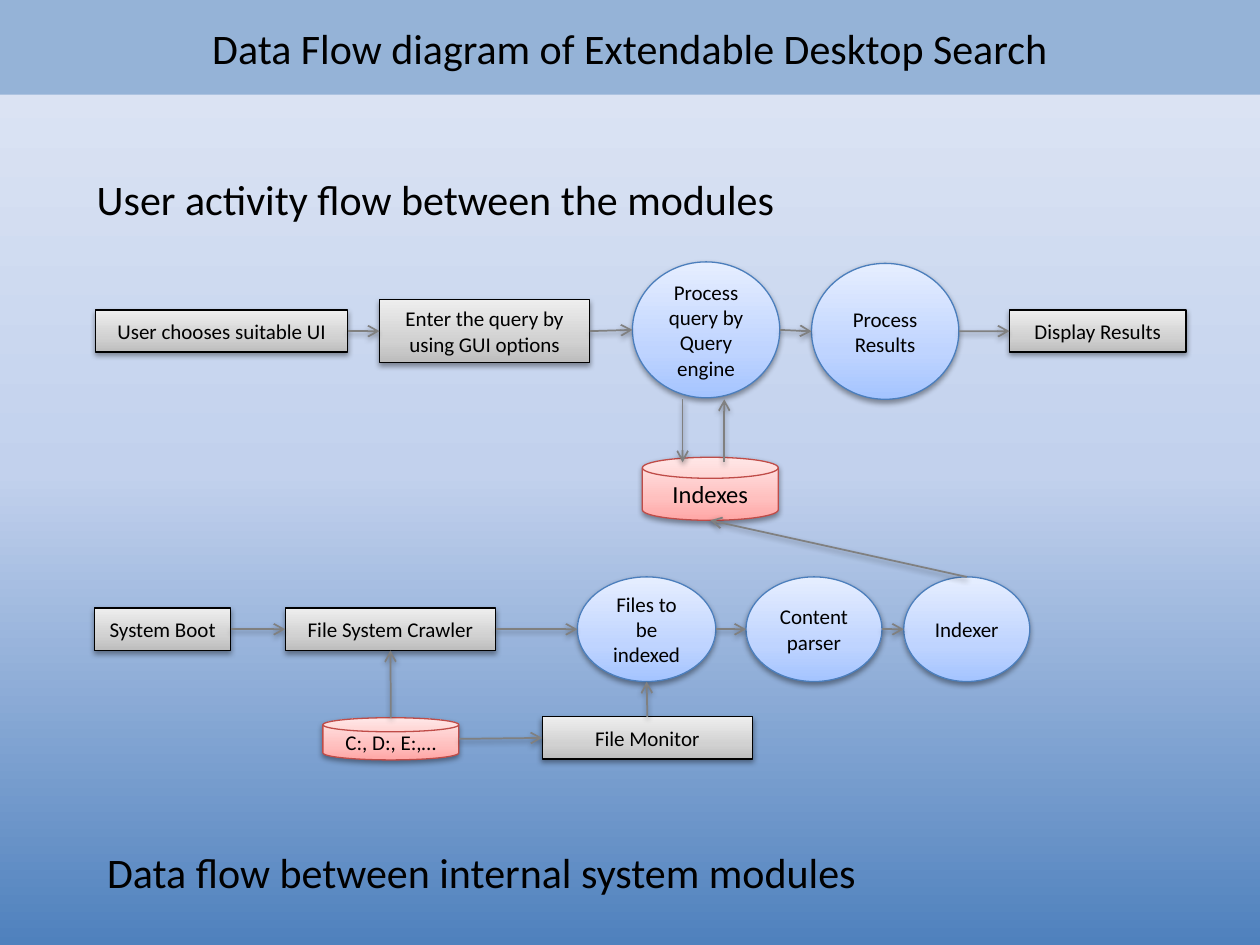
from lxml import etree
from pptx import Presentation
from pptx import util as u
from pptx.dml import color
from pptx.enum import shapes, text
from pptx.oxml import ns

Cm = u.Cm
FONT = "Calibri"
COLOURS = {"text": "000000", "band": "95B3D7", "arrow": "808080", "shadow": "000000"}
PAGE_STOPS = {0: "4F81BD", 50: "C2D1ED", 100: "E1E8F5"}
KINDS = {
    "step": (shapes.MSO_SHAPE.RECTANGLE, "000000",
             {0: "BDBDBD", 35: "D1D1D1", 100: "EEEEEE"}),
    "process": (shapes.MSO_SHAPE.OVAL, "4B7EBC",
                {0: "A4C4FF", 35: "BFD4FF", 100: "E6EEFF"}),
    "store": (shapes.MSO_SHAPE.FLOWCHART_MAGNETIC_DISK, "BF4C48",
              {0: "FFA6A5", 35: "FFC0BF", 100: "FFE7E7"}),
}
TOP, LEFT, BOTTOM, RIGHT = range(4)


def rgb(value):
    return color.RGBColor.from_string(value)


def add_part(parent, tag, **attributes):
    return etree.SubElement(parent, ns.qn(tag), attributes)


def paint_gradient(fill, owner, stops):
    fill.gradient()
    fill.gradient_angle = 90
    stop_list = owner.find(".//" + ns.qn("a:gsLst"))
    for stop in list(stop_list):
        stop_list.remove(stop)
    for position, value in stops.items():
        stop = add_part(stop_list, "a:gs", pos=str(position * 1000))
        add_part(stop, "a:srgbClr", val=value)


def add_shadow(effects):
    shadow = add_part(effects, "a:outerShdw", blurRad="40000", dist="20000",
                      dir="5400000", rotWithShape="0")
    shade = add_part(shadow, "a:srgbClr", val=COLOURS["shadow"])
    add_part(shade, "a:alpha", val="38000")


def write(shape, words, size, align):
    frame = shape.text_frame
    frame.text = words
    para = frame.paragraphs[0]
    para.alignment = align
    for span in para.runs:
        span.font.name = FONT
        span.font.size = u.Pt(size)
        span.font.color.rgb = rgb(COLOURS["text"])
    return frame


def add_centred_shape(page, preset, area, words, size):
    shape = page.shapes.add_shape(preset, *area)
    shape.shadow.inherit = False
    frame = write(shape, words, size, text.PP_ALIGN.CENTER)
    frame.word_wrap = True
    frame.vertical_anchor = text.MSO_ANCHOR.MIDDLE
    return shape


def add_node(page, box, kind, words, left, top, width, height, size=12):
    preset, outline, stops = KINDS[kind]
    area = box[0] + Cm(left), box[1] + Cm(top), Cm(width), Cm(height)
    node = add_centred_shape(page, preset, area, words, size)
    properties = node._element.spPr
    paint_gradient(node.fill, properties, stops)
    node.line.color.rgb = rgb(outline)
    node.line.width = u.Pt(0.75)
    add_shadow(properties.find(ns.qn("a:effectLst")))
    return node


def add_arrow(page, start, end):
    arrow = page.shapes.add_connector(shapes.MSO_CONNECTOR.STRAIGHT, *start, *end)
    arrow.line.color.rgb = rgb(COLOURS["arrow"])
    arrow.line.width = u.Pt(1)
    properties = arrow._element.spPr
    add_part(properties.find(ns.qn("a:ln")), "a:tailEnd", type="arrow")
    add_shadow(add_part(properties, "a:effectLst"))
    return arrow


def side_middle(node, side):
    across = {LEFT: 0, RIGHT: node.width}.get(side, node.width // 2)
    down = {TOP: 0, BOTTOM: node.height}.get(side, node.height // 2)
    return node.left + across, node.top + down


def link(page, source, target, leave=RIGHT, enter=LEFT):
    arrow = add_arrow(page, side_middle(source, leave), side_middle(target, enter))
    if source.auto_shape_type == shapes.MSO_SHAPE.RECTANGLE:
        arrow.begin_connect(source, leave)
    if target.auto_shape_type == shapes.MSO_SHAPE.RECTANGLE:
        arrow.end_connect(target, enter)


def link_chain(page, nodes):
    for source, target in zip(nodes, nodes[1:]):
        link(page, source, target)


def add_title_band(page, box):
    band = add_centred_shape(page, shapes.MSO_SHAPE.RECTANGLE, box,
                             "Data Flow diagram of Extendable Desktop Search", 24)
    band.fill.solid()
    band.fill.fore_color.rgb = rgb(COLOURS["band"])
    band.line.fill.background()


def add_caption(page, box, words):
    caption = page.shapes.add_textbox(*box)
    frame = write(caption, words, 24, text.PP_ALIGN.LEFT)
    frame.word_wrap = False
    frame.auto_size = text.MSO_AUTO_SIZE.SHAPE_TO_FIT_TEXT


def add_query_flow(page, box):
    indexes = add_node(page, box, "store", "Indexes", 11.02, 3.94, 2.74, 1.27, 14)
    steps = [
        ("step", "User chooses suitable UI", 0, 0.97, 5.08, 0.85),
        ("step", "Enter the query by using GUI options", 5.72, 0.76, 4.24, 1.27),
        ("process", "Process query by Query engine", 10.82, 0, 2.97, 2.74),
        ("process", "Process Results", 14.43, 0.03, 2.97, 2.74),
        ("step", "Display Results", 18.42, 0.97, 3.56, 0.85),
    ]
    link_chain(page, [add_node(page, box, *step) for step in steps])
    upper, lower = box[1] + Cm(2.77), box[1] + Cm(4.04)
    for across, begin, finish in ((11.83, upper, lower), (12.67, lower, upper)):
        x = box[0] + Cm(across)
        add_arrow(page, (x, begin), (x, finish))
    return indexes


def add_index_flow(page, box):
    steps = [
        ("step", "System Boot", 0, 0.63, 2.74, 0.85),
        ("step", "File System Crawler", 3.84, 0.63, 4.24, 0.85),
        ("process", "Files to be indexed", 9.73, 0, 2.79, 2.11),
        ("process", "Content parser", 13.13, 0, 2.74, 2.11),
        ("process", "Indexer", 16.31, 0, 2.54, 2.11),
    ]
    nodes = [add_node(page, box, *step) for step in steps]
    link_chain(page, nodes)
    boot, crawler, files, parser, indexer = nodes
    drives = add_node(page, box, "store", "C:, D:, E:,…", 4.6, 2.84, 2.74, 0.85)
    monitor = add_node(page, box, "step", "File Monitor", 9.02, 2.82, 4.24, 0.85)
    link(page, drives, crawler, TOP, BOTTOM)
    link(page, drives, monitor)
    link(page, monitor, files, TOP, BOTTOM)
    return indexer


def main():
    deck = Presentation()
    deck.slide_width, deck.slide_height = Cm(25.4), Cm(19.05)
    page = deck.slides.add_slide(deck.slide_layouts[6])
    paint_gradient(page.background.fill, page._element, PAGE_STOPS)
    add_title_band(page, (0, 0, deck.slide_width, Cm(1.91)))
    add_caption(page, (Cm(1.7), Cm(3.38), Cm(14.5), Cm(1.3)),
                "User activity flow between the modules")
    indexes = add_query_flow(page, (Cm(1.93), Cm(5.28)))
    indexer = add_index_flow(page, (Cm(1.91), Cm(11.63)))
    link(page, indexer, indexes, TOP, BOTTOM)
    add_caption(page, (Cm(1.91), Cm(16.94), Cm(15.95), Cm(1.3)),
                "Data flow between internal system modules")
    deck.save("out.pptx")


if __name__ == "__main__":
    main()
